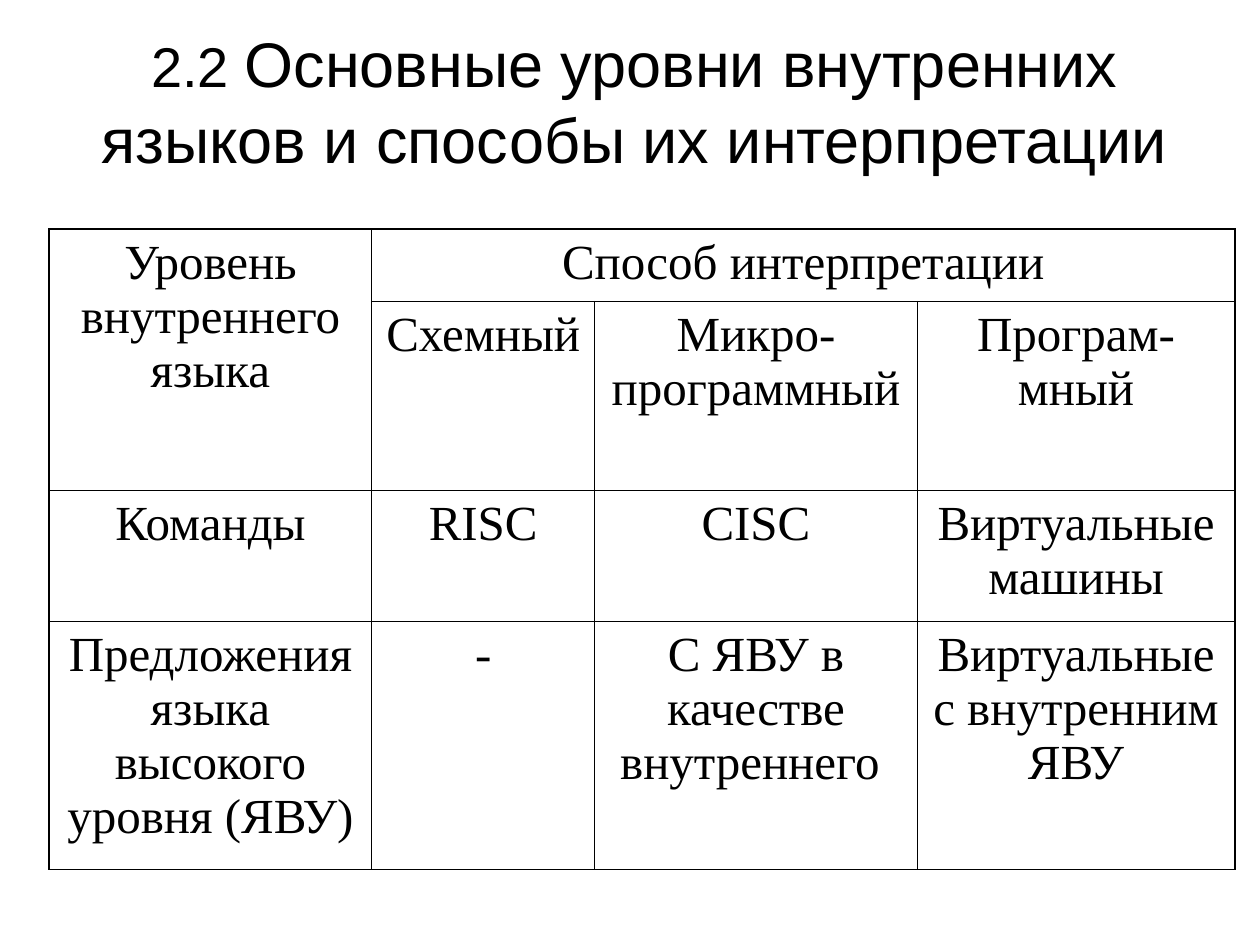
from lxml import etree
from pptx import Presentation
from pptx import util as u
from pptx.dml.color import RGBColor
from pptx.enum import text
from pptx.oxml.ns import qn

BLACK = "000000"
THIN, THICK = 0.45, 1.08
TITLE = [("2.2 ", 32),
         ("Основные уровни внутренних языков и способы их интерпретации", 36)]
COLS = [2.56, 1.77, 2.56, 2.52]
ROWS = [0.57, 1.5, 1.04, 1.97]
CELLS = [
    ["Уровень внутреннего языка", "Способ интерпретации", "", ""],
    ["", "Схемный", "Микро-программный", "Програм-мный"],
    ["Команды", "RISC", "CISC", "Виртуальные машины"],
    ["Предложения языка высокого уровня (ЯВУ)", "-",
     "С ЯВУ в качестве внутреннего ", "Виртуальные с внутренним ЯВУ"],
]
MERGES = [((0, 0), (1, 0)), ((0, 1), (0, 3))]
MARGINS = {"margin_left": u.Inches(0.1), "margin_right": u.Inches(0.1),
           "margin_top": u.Inches(0.05), "margin_bottom": u.Inches(0.05)}


def rgb(value):
    return RGBColor.from_string(value)


def apply(obj, values):
    for name, value in values.items():
        setattr(obj, name, value)


def write(tf, runs, font):
    """Fill the first paragraph with centred (text, size) runs."""
    p = tf.paragraphs[0]
    p.alignment = text.PP_ALIGN.CENTER
    for words, size in runs:
        r = p.add_run()
        r.text = words
        apply(r.font, {"name": font, "size": u.Pt(size)})
        r.font.color.rgb = rgb(BLACK)


def set_border(cell, side, width):
    ln = etree.SubElement(cell._tc.get_or_add_tcPr(), qn("a:ln" + side),
                          w=str(u.Pt(width)))
    fill = etree.SubElement(ln, qn("a:solidFill"))
    etree.SubElement(fill, qn("a:srgbClr"), val=BLACK)


def add_title(s, left, top, width, height):
    tf = s.shapes.add_textbox(left, top, width, height).text_frame
    apply(tf, {**MARGINS, "word_wrap": True,
               "vertical_anchor": text.MSO_ANCHOR.MIDDLE})
    write(tf, TITLE, "Arial")


def add_levels_table(s, left, top, width, height):
    n_rows, n_cols = len(ROWS), len(COLS)
    table = s.shapes.add_table(n_rows, n_cols, left, top, width, height).table
    apply(table, {"first_row": False, "horz_banding": False})
    for col, size in zip(table.columns, COLS):
        col.width = u.Inches(size)
    for row, size in zip(table.rows, ROWS):
        row.height = u.Inches(size)
    for start, end in MERGES:
        table.cell(*start).merge(table.cell(*end))

    for i, row in enumerate(CELLS):
        for j, words in enumerate(row):
            cell = table.cell(i, j)
            apply(cell, MARGINS)
            # Thick lines on the outer frame, thin lines inside
            outer = {"L": j == 0, "R": j + cell.span_width == n_cols,
                     "T": i == 0, "B": i + cell.span_height == n_rows}
            for side, is_outer in outer.items():
                set_border(cell, side, THICK if is_outer else THIN)
            cell.fill.background()
            if words:
                write(cell.text_frame, [(words, 28)], "Times New Roman")


def main():
    prs = Presentation()
    apply(prs, {"slide_width": u.Inches(10), "slide_height": u.Inches(7.5)})
    s = prs.slides.add_slide(prs.slide_layouts[6])
    add_title(s, u.Inches(0.27), u.Inches(0.2), u.Inches(9.53), u.Inches(1.19))
    add_levels_table(s, u.Inches(0.39), u.Inches(1.82),
                     u.Inches(sum(COLS)), u.Inches(sum(ROWS)))
    prs.save("out.pptx")


if __name__ == "__main__":
    main()
